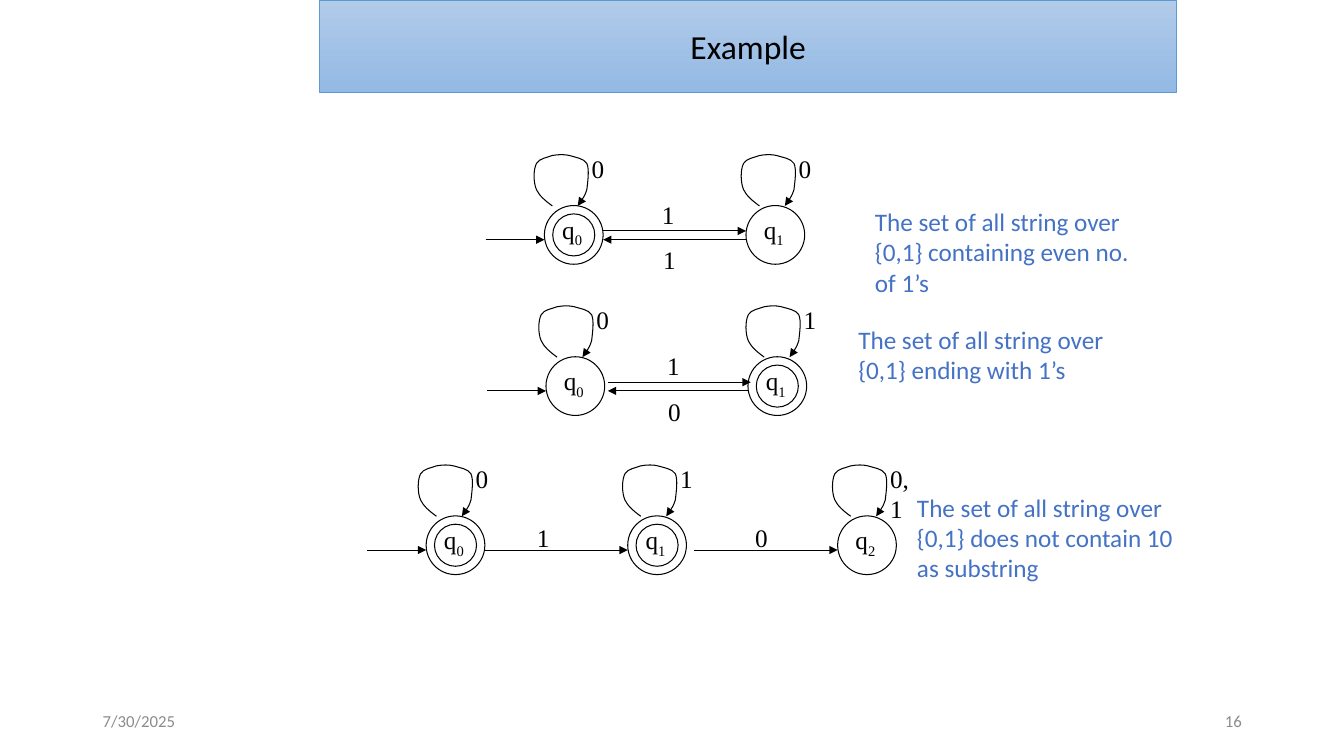
"""Build the slide with three example finite automata."""
from lxml.etree import SubElement
from pptx import Presentation
from pptx.dml.color import RGBColor
from pptx.enum.shapes import MSO_CONNECTOR, MSO_SHAPE
from pptx.enum.text import MSO_ANCHOR, PP_ALIGN
from pptx.oxml.ns import qn
from pptx.util import Cm, Pt

BLACK = RGBColor(0x00, 0x00, 0x00)
GREY = RGBColor(0x8C, 0x8C, 0x8C)
CAPTION_BLUE = RGBColor(0x44, 0x72, 0xC4)
BANNER_LINE = RGBColor(0x5B, 0x9B, 0xD5)
BANNER_TOP = RGBColor(0xB1, 0xCB, 0xE9)
BANNER_BOTTOM = RGBColor(0x93, 0xB9, 0xE4)

SERIF, SANS = "Times New Roman", "Calibri"
STATE_SIZE, ACCEPT_SIZE = 1.48, 1.06
FORWARD, BACK = 0.64, 0.86
LOOP_START = (0.48, 1.3)
LOOP_CURVES = [
    ((0.3, 1.17), (0.15, 1.04), (0.08, 0.89)),
    ((0, 0.71), (0, 0.38), (0.08, 0.23)),
    ((0.15, 0.1), (0.36, 0.08), (0.48, 0.03)),
    ((0.64, 0), (0.79, 0), (0.91, 0.03)),
    ((1.07, 0.08), (1.27, 0.1), (1.35, 0.23)),
    ((1.42, 0.38), (1.37, 0.71), (1.35, 0.89)),
    ((1.3, 1.04), (1.22, 1.17), (1.12, 1.3)),
]

# Each state: left, accepting, loop left, loop symbol.
# Each edge: start, end, height in the row, symbol, symbol left, symbol height.
AUTOMATA = [
    (5.18,
     [(13.72, True, 13.44, "0"), (18.8, False, 18.66, "0")],
     [(15.2, 18.8, FORWARD, "1", 16.43, -0.28),
      (18.8, 15.2, BACK, "1", 16.46, 0.86)],
     (21.8, 5.08, 6.99, "The set of all string over {0,1} containing even no. of 1’s")),
    (8.99,
     [(13.76, False, 13.56, "0"), (18.85, True, 18.78, "1")],
     [(15.32, 18.92, FORWARD, "1", 16.56, -0.28),
      (18.85, 15.32, BACK, "0", 16.59, 0.86)],
     (21.38, 8.05, 7.19, "The set of all string over {0,1} ending with 1’s")),
    (13.0,
     [(10.74, True, 10.52, "0"), (15.82, True, 15.67, "1"), (21.11, False, 20.96, "0,1")],
     [(12.22, 15.82, BACK, "1", 13.28, 0.03),
      (17.5, 21.11, BACK, "0", 18.78, 0.03)],
     (22.86, 12.28, 7.19, "The set of all string over {0,1} does not contain 10 as substring")),
]


def set_font(paragraph, name, size, color):
    """Set the font of a whole paragraph."""
    paragraph.font.name = name
    paragraph.font.size = Pt(size)
    paragraph.font.color.rgb = color


def add_text(slide, box, text, name=SERIF, size=18, color=BLACK, wrap=True):
    """Add a text box and return its frame."""
    frame = slide.shapes.add_textbox(*map(Cm, box)).text_frame
    frame.word_wrap = wrap
    frame.text = text
    set_font(frame.paragraphs[0], name, size, color)
    return frame


def set_stroke(line, arrowhead=False):
    """Give a line the thin black stroke of the diagrams."""
    line.color.rgb = BLACK
    line.width = Pt(0.75)
    if arrowhead:
        SubElement(line._get_or_add_ln(), qn("a:tailEnd"), type="triangle")


def add_arrow(slide, start, end, height):
    """Draw a horizontal arrow."""
    arrow = slide.shapes.add_connector(
        MSO_CONNECTOR.STRAIGHT, Cm(start), Cm(height), Cm(end), Cm(height))
    set_stroke(arrow.line, arrowhead=True)
    SubElement(arrow._element.spPr, qn("a:effectLst"))


def add_circle(slide, left, top, size):
    """Draw an unfilled circle."""
    circle = slide.shapes.add_shape(MSO_SHAPE.OVAL, Cm(left), Cm(top), Cm(size), Cm(size))
    circle.shadow.inherit = False
    circle.fill.background()
    set_stroke(circle.line)


def bend_segments(freeform):
    """Turn each three line segments into one cubic curve."""
    segments = list(freeform._element.iter(qn("a:lnTo")))
    for first in range(0, len(segments), 3):
        curve = SubElement(segments[first].getparent(), qn("a:cubicBezTo"))
        for segment in segments[first:first + 3]:
            curve.append(segment[0])
            segment.getparent().remove(segment)


def add_loop(slide, left, top, symbol):
    """Draw a loop above a state with its symbol."""
    builder = slide.shapes.build_freeform(Cm(left + LOOP_START[0]), Cm(top + LOOP_START[1]))
    builder.add_line_segments(
        [(Cm(left + x), Cm(top + y)) for curve in LOOP_CURVES for x, y in curve], close=False)
    loop = builder.convert_to_shape()
    bend_segments(loop)
    loop.shadow.inherit = False
    loop.fill.background()
    set_stroke(loop.line, arrowhead=True)
    width = 1.24 if len(symbol) > 1 else 0.82
    add_text(slide, (left + 1.22, top - 0.16, width, 1.02), symbol)


def add_state(slide, left, top, index, accepting):
    """Draw a state with its name, doubled when it accepts."""
    add_circle(slide, left, top, STATE_SIZE)
    if accepting:
        inset = (STATE_SIZE - ACCEPT_SIZE) / 2
        add_circle(slide, left + inset, top + inset, ACCEPT_SIZE)
    name = add_text(slide, (left + 0.2, top + 0.1, 1.02, 1.02), "q", wrap=False)
    subscript = name.paragraphs[0].add_run()
    subscript.text = str(index)
    subscript._r.get_or_add_rPr().set("baseline", "-25000")


def add_automaton(slide, top, states, edges, caption):
    """Draw one automaton with the caption of its language."""
    entry = states[0][0]
    add_arrow(slide, entry - STATE_SIZE, entry, top + BACK)
    for index, (left, accepting, loop_left, symbol) in enumerate(states):
        add_state(slide, left, top, index, accepting)
        add_loop(slide, loop_left, top - 1.29, symbol)
    for start, end, height, symbol, symbol_left, symbol_height in edges:
        add_arrow(slide, start, end, top + height)
        add_text(slide, (symbol_left, top + symbol_height, 0.82, 1.02), symbol)
    left, caption_top, width, text = caption
    add_text(slide, (left, caption_top, width, 2.56), text, SANS, 18, CAPTION_BLUE)


def add_banner(slide, text):
    """Draw the title banner."""
    banner = slide.shapes.add_shape(MSO_SHAPE.RECTANGLE, Cm(8.06), Cm(0), Cm(21.59), Cm(2.34))
    banner.shadow.inherit = False
    banner.fill.gradient()
    banner.fill.gradient_angle = 270
    for stop, color in zip(banner.fill.gradient_stops, (BANNER_TOP, BANNER_BOTTOM)):
        stop.color.rgb = color
    banner.line.color.rgb = BANNER_LINE
    banner.line.width = Pt(0.5)
    banner.text_frame.text = text
    banner.text_frame.vertical_anchor = MSO_ANCHOR.MIDDLE
    title = banner.text_frame.paragraphs[0]
    title.alignment = PP_ALIGN.CENTER
    set_font(title, SANS, 24, BLACK)


def add_footer(slide, left, text, alignment):
    """Add a footer text."""
    footer = add_text(slide, (left, 17.66, 7.62, 1.02), text, SANS, 12, GREY)
    footer.vertical_anchor = MSO_ANCHOR.MIDDLE
    footer.paragraphs[0].alignment = alignment


def main():
    """Build and save the slide."""
    deck = Presentation()
    deck.slide_width, deck.slide_height = Cm(33.87), Cm(19.05)
    slide = deck.slides.add_slide(deck.slide_layouts[6])
    for automaton in AUTOMATA:
        add_automaton(slide, *automaton)
    add_banner(slide, "Example")
    add_footer(slide, 2.34, "7/30/2025", PP_ALIGN.LEFT)
    add_footer(slide, 23.93, "16", PP_ALIGN.RIGHT)
    deck.save("out.pptx")


if __name__ == "__main__":
    main()
